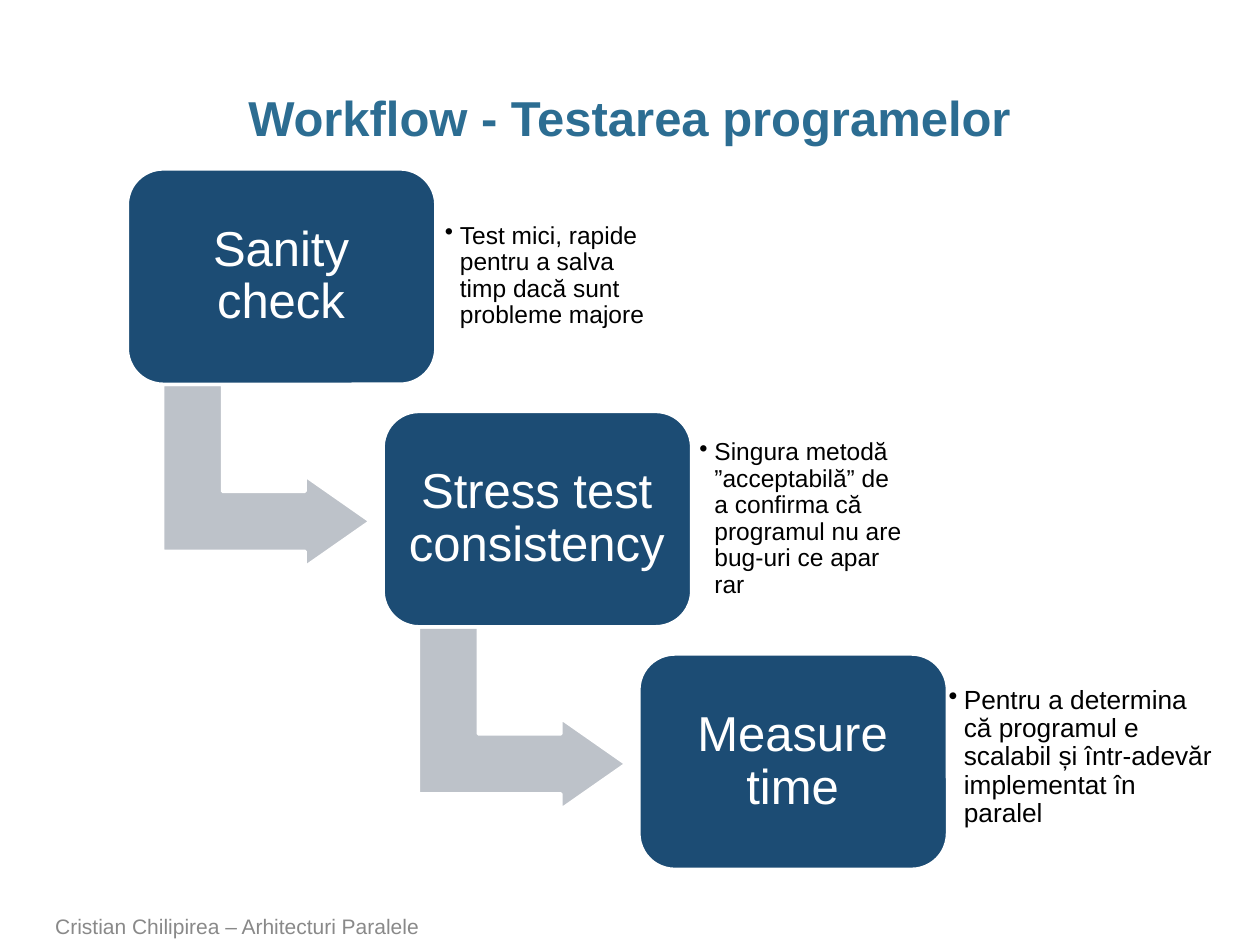
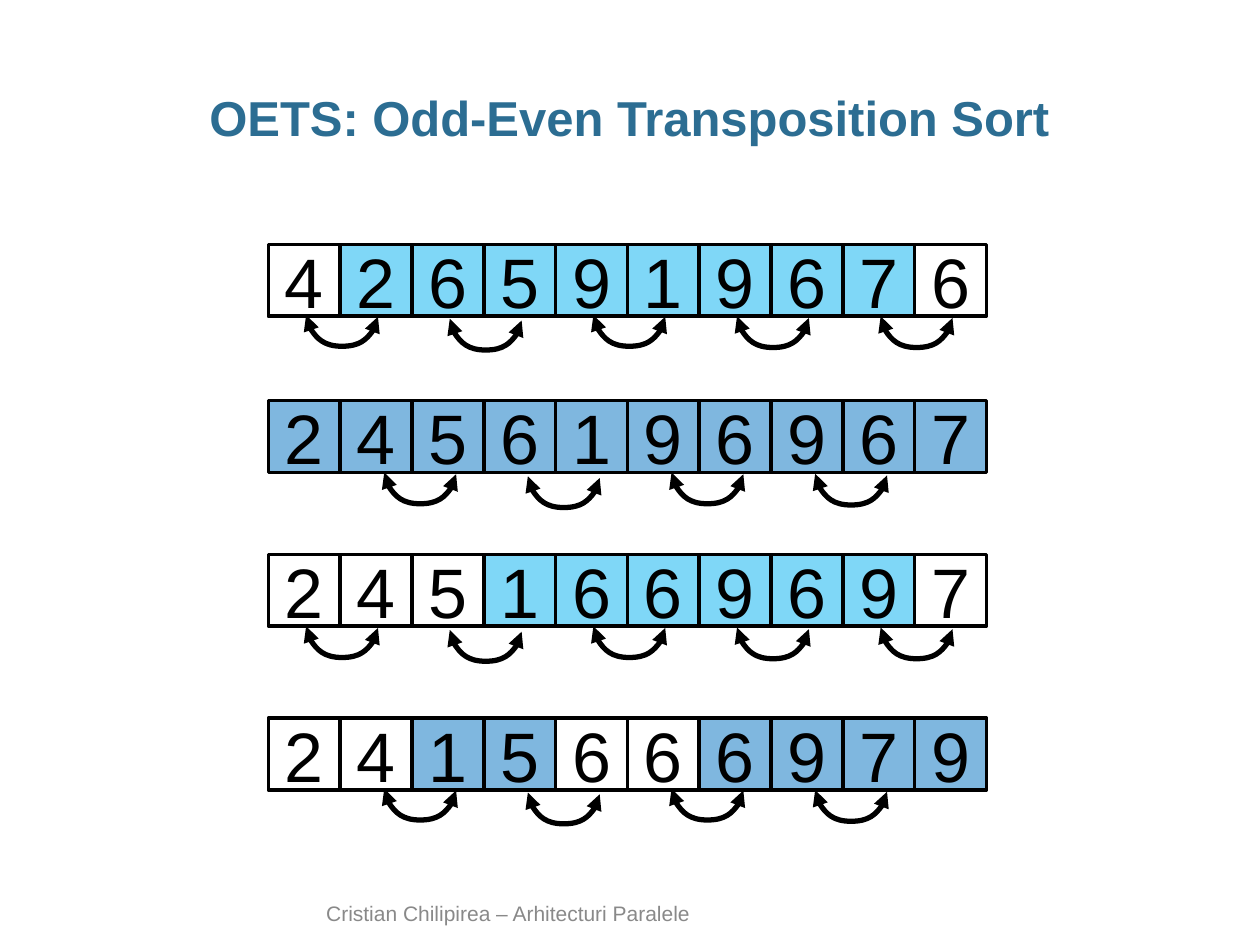
from lxml.etree import SubElement
from pptx import Presentation
from pptx.dml.color import RGBColor
from pptx.enum.shapes import MSO_CONNECTOR, MSO_SHAPE
from pptx.enum.text import MSO_ANCHOR, PP_ALIGN
from pptx.oxml.ns import qn
from pptx.util import Inches, Pt

FONT = "Arial"
TITLE_BLUE = RGBColor(0x2C, 0x6D, 0x92)
FOOTER_GRAY = RGBColor(0x89, 0x89, 0x89)
STEP_BLUE = RGBColor(0x1C, 0x4C, 0x74)
ARROW_GRAY = RGBColor(0xBD, 0xC2, 0xC9)
SKY = RGBColor(0x00, 0xB0, 0xF0)
BLUE = RGBColor(0x00, 0x70, 0xC0)
WHITE = RGBColor(0xFF, 0xFF, 0xFF)
BLACK = RGBColor(0, 0, 0)

FOOTER = "Cristian Chilipirea – Arhitecturi Paralele"

WORKFLOW_TITLE = "Workflow - Testarea programelor"
STEPS = [
    ("Sanity check", "Test mici, rapide pentru a salva timp dacă sunt probleme majore",
     (3.46, 1.5, 1.78, 1.38), 14, 0.07),
    ("Stress test consistency",
     "Singura metodă ”acceptabilă” de a confirma că programul nu are bug-uri ce apar rar",
     (5.48, 3.43, 1.78, 1.38), 14, 0.07),
    ("Measure time",
     "Pentru a determina că programul e scalabil și într-adevăr implementat în paralel",
     (7.45, 5.32, 2.26, 1.38), 15, 0.08),
]
STEP_DX, STEP_DY = 2.03, 1.925

SORT_TITLE = "OETS: Odd-Even Transposition Sort"
SORT_ROWS = [
    (1.94, "4265919676", range(1, 9), SKY, 2.43, 2.5, 5),
    (3.18, "2456196967", range(10), BLUE, 3.05, 3.75, 4),
    (4.4, "2451669697", range(3, 9), SKY, 2.43, 4.97, 5),
    (5.7, "2415666979", (2, 3, 6, 7, 8, 9), BLUE, 3.05, 6.26, 4),
]
CELL_LEFT, CELL = 2.13, 0.57
SWAP_STEP = 1.14
SWAP_DROPS = (0, 0.03, 0, 0.01, 0.01)
SWAP_RISE = Pt(1)
SWAP_BEND = 1800000


def set_attrs(obj, attrs):
    for name, value in attrs.items():
        setattr(obj, name, value)


def write(sp, text, size, color, bold=False, anchor=MSO_ANCHOR.TOP,
          insets=(0.1, 0.05, 0.1, 0.05), bullet=False, **para):
    tf = sp.text_frame
    sides = ("margin_left", "margin_top", "margin_right", "margin_bottom")
    set_attrs(tf, {"word_wrap": True, "vertical_anchor": anchor,
                   **dict(zip(sides, map(Inches, insets)))})
    p = tf.paragraphs[0]
    if bullet:
        pPr = p._p.get_or_add_pPr()
        pPr.set("marL", str(Inches(0.12)))
        pPr.set("indent", str(-Inches(0.12)))
        SubElement(pPr, qn("a:buChar"), char="•")
    set_attrs(p, para)
    r = p.add_run()
    r.text = text
    set_attrs(r.font, {"name": FONT, "size": Pt(size), "bold": bold})
    r.font.color.rgb = color


def add_text(s, box, text, size, color, **fmt):
    write(s.shapes.add_textbox(*map(Inches, box)), text, size, color, **fmt)


def add_box(s, kind, box, fill, line, adjustments=()):
    sp = s.shapes.add_shape(kind, *map(Inches, box))
    sp.shadow.inherit = False
    for i, value in enumerate(adjustments):
        sp.adjustments[i] = value
    if fill is None:
        sp.fill.background()
    else:
        sp.fill.solid()
        sp.fill.fore_color.rgb = fill
    sp.line.color.rgb = line
    sp.line.width = Pt(2)
    return sp


def add_slide(prs, title, footer_box):
    s = prs.slides.add_slide(prs.slide_layouts[6])
    add_text(s, footer_box, FOOTER, 12, FOOTER_GRAY, anchor=MSO_ANCHOR.BOTTOM)
    add_text(s, (0.34, 0.68, 9.31, 0.5), title, 28, TITLE_BLUE, bold=True,
             insets=(0, 0.05, 0, 0.05), alignment=PP_ALIGN.CENTER, line_spacing=0.95)
    return s


def add_step(s, i, name, note, note_box, note_size, note_inset):
    dx, dy = i * STEP_DX, i * STEP_DY
    if i < len(STEPS) - 1:
        arrow = add_box(s, MSO_SHAPE.BENT_UP_ARROW, (1.39 + dx, 2.95 + dy, 1.45, 1.65),
                        ARROW_GRAY, WHITE, (0.328, 0.25, 0.358))
        arrow.rotation = 90
    add_box(s, MSO_SHAPE.ROUNDED_RECTANGLE, (1.01 + dx, 1.34 + dy, 2.45, 1.71),
            STEP_BLUE, WHITE, (0.167,))
    add_text(s, (1.09 + dx, 1.42 + dy, 2.28, 1.55), name, 28, WHITE,
             anchor=MSO_ANCHOR.MIDDLE, insets=(0.12,) * 4,
             alignment=PP_ALIGN.CENTER, line_spacing=0.9, space_after=Pt(10))
    add_text(s, note_box, note, note_size, BLACK, anchor=MSO_ANCHOR.MIDDLE,
             insets=(note_inset,) * 4, bullet=True, line_spacing=0.9, space_after=Pt(2))


def add_swap(s, left, top):
    cx, cy = Inches(left + CELL / 2), Inches(top) + SWAP_RISE // 2
    half_w, half_h = SWAP_RISE // 2, Inches(CELL / 2)
    swap = s.shapes.add_connector(MSO_CONNECTOR.CURVE, cx + half_w, cy - half_h,
                                  cx - half_w, cy + half_h)
    swap.line.color.rgb = BLACK
    swap.line.width = Pt(3)
    spPr = swap._element.spPr
    spPr.find(qn("a:xfrm")).set("rot", str(270 * 60000))
    geom = spPr.find(qn("a:prstGeom"))
    guides = geom.find(qn("a:avLst"))
    if guides is None:
        guides = SubElement(geom, qn("a:avLst"))
    SubElement(guides, qn("a:gd"), name="adj1", fmla=f"val {SWAP_BEND}")
    for end in ("a:headEnd", "a:tailEnd"):
        SubElement(spPr.find(qn("a:ln")), qn(end), type="triangle")
    SubElement(spPr, qn("a:effectLst"))


def add_sort_row(s, top, digits, shaded, color, swap_left, swap_top, swaps):
    for i, digit in enumerate(digits):
        cell = add_box(s, MSO_SHAPE.RECTANGLE, (CELL_LEFT + i * CELL, top, CELL, CELL),
                       color if i in shaded else None, BLACK)
        if i in shaded:
            clr = cell._element.spPr.find(qn("a:solidFill"))[0]
            SubElement(clr, qn("a:alpha"), val="50000")
        write(cell, digit, 40, BLACK, anchor=MSO_ANCHOR.MIDDLE, alignment=PP_ALIGN.CENTER)
    for i, drop in enumerate(SWAP_DROPS[:swaps]):
        add_swap(s, swap_left + i * SWAP_STEP, swap_top + drop)


def main():
    prs = Presentation()
    set_attrs(prs, {"slide_width": Inches(10), "slide_height": Inches(7.5)})

    s = add_slide(prs, WORKFLOW_TITLE, (0.34, 7.22, 7.37, 0.28))
    for i, step in enumerate(STEPS):
        add_step(s, i, *step)

    s = add_slide(prs, SORT_TITLE, (2.49, 7.16, 5.02, 0.24))
    for row in SORT_ROWS:
        add_sort_row(s, *row)

    prs.save("out.pptx")


if __name__ == "__main__":
    main()
